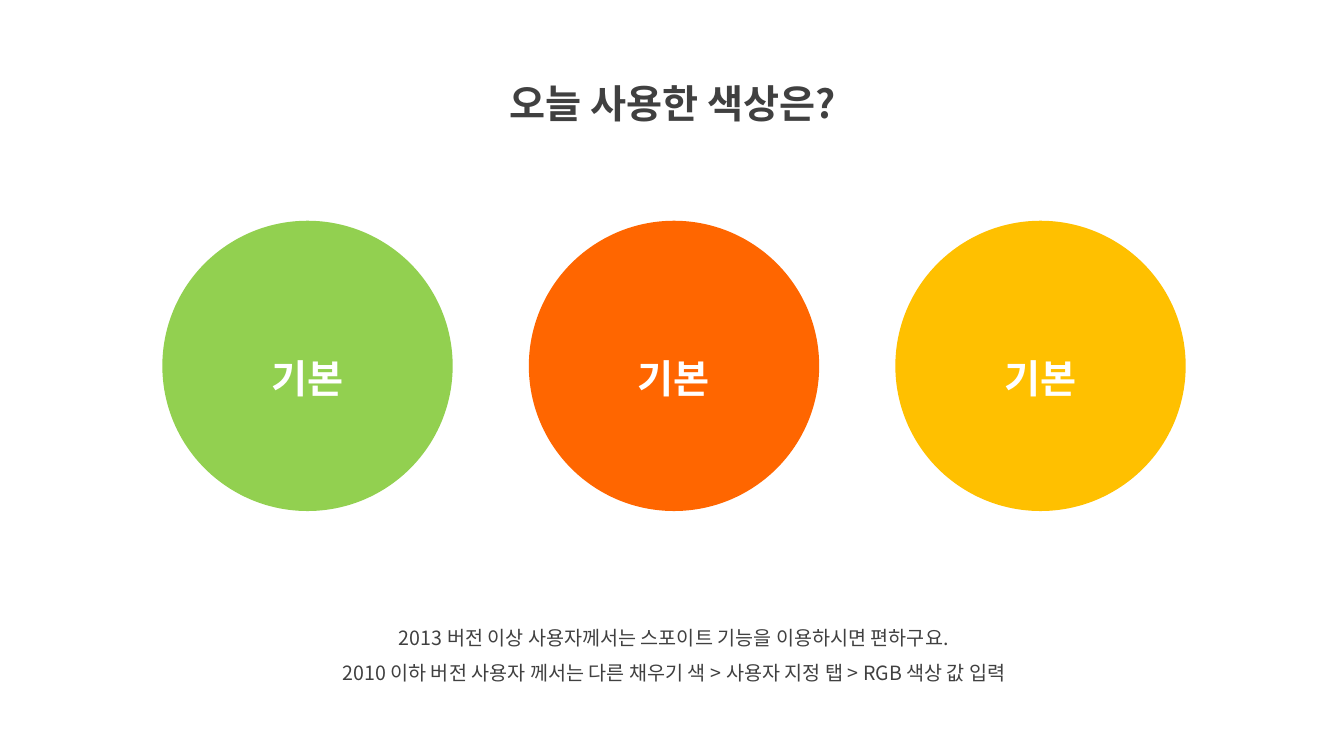
from dataclasses import dataclass

from lxml import etree
from pptx import Presentation
from pptx.dml.color import RGBColor
from pptx.enum import shapes, text
from pptx.oxml import ns
from pptx.util import Inches, Pt


@dataclass(frozen=True)
class Theme:
    font: str = "Noto Sans CJK KR"
    dark: str = "404040"
    white: str = "FFFFFF"
    green: str = "92D050"
    orange: str = "FF6600"
    yellow: str = "FFC000"
    heading_size: int = 28
    note_size: int = 14
    line_spacing: float = 1.5


THEME = Theme()
CIRCLE_SIZE = 2.88
CIRCLE_TOP = 2.19
FIRST_LEFT = 1.61
LAST_LEFT = 8.88


def write_text(shape, lines, size, color, bold, anchor):
    frame = shape.text_frame
    frame.text = "\n".join(lines)
    frame.word_wrap = True
    frame.auto_size = text.MSO_AUTO_SIZE.NONE
    frame.vertical_anchor = anchor
    for paragraph in frame.paragraphs:
        paragraph.alignment = text.PP_ALIGN.CENTER
        paragraph.line_spacing = THEME.line_spacing
        font = paragraph.font
        font.name = THEME.font
        font.size = Pt(size)
        font.bold = bold
        font.color.rgb = RGBColor.from_string(color)
        latin = paragraph._p.pPr.find(".//" + ns.qn("a:latin"))
        east_asian = etree.Element(ns.qn("a:ea"), typeface=THEME.font)
        latin.addnext(east_asian)


def add_title(slide, title):
    shape = slide.shapes.title
    shape.left, shape.top = Inches(4.36), Inches(0.5)
    shape.width, shape.height = Inches(4.63), Inches(0.72)
    write_text(shape, [title], THEME.heading_size, THEME.dark, True,
               text.MSO_ANCHOR.TOP)


def add_note(slide, lines):
    shape = slide.shapes.add_textbox(
        Inches(2.69), Inches(6.04), Inches(7.99), Inches(0.81))
    write_text(shape, lines, THEME.note_size, THEME.dark, False,
               text.MSO_ANCHOR.TOP)


def add_color_circle(slide, left, color, label):
    shape = slide.shapes.add_shape(
        shapes.MSO_SHAPE.OVAL, Inches(left), Inches(CIRCLE_TOP),
        Inches(CIRCLE_SIZE), Inches(CIRCLE_SIZE))
    shape.shadow.inherit = False
    shape.fill.solid()
    shape.fill.fore_color.rgb = RGBColor.from_string(color)
    shape.line.fill.background()
    write_text(shape, [label], THEME.heading_size, THEME.white, True,
               text.MSO_ANCHOR.MIDDLE)


def main():
    presentation = Presentation()
    presentation.slide_width = Inches(13.33)
    presentation.slide_height = Inches(7.5)
    title_only = presentation.slide_layouts.get_by_name("Title Only")
    slide = presentation.slides.add_slide(title_only)

    add_title(slide, "오늘 사용한 색상은?")
    add_note(slide, [
        "2013 버전 이상 사용자께서는 스포이트 기능을 이용하시면 편하구요.",
        "2010 이하 버전 사용자 께서는 다른 채우기 색 > 사용자 지정 탭 > RGB 색상 값 입력",
    ])
    colors = [THEME.green, THEME.orange, THEME.yellow]
    pitch = (LAST_LEFT - FIRST_LEFT) / (len(colors) - 1)
    for index, color in enumerate(colors):
        add_color_circle(slide, FIRST_LEFT + index * pitch, color, "기본")

    presentation.save("out.pptx")


if __name__ == "__main__":
    main()
